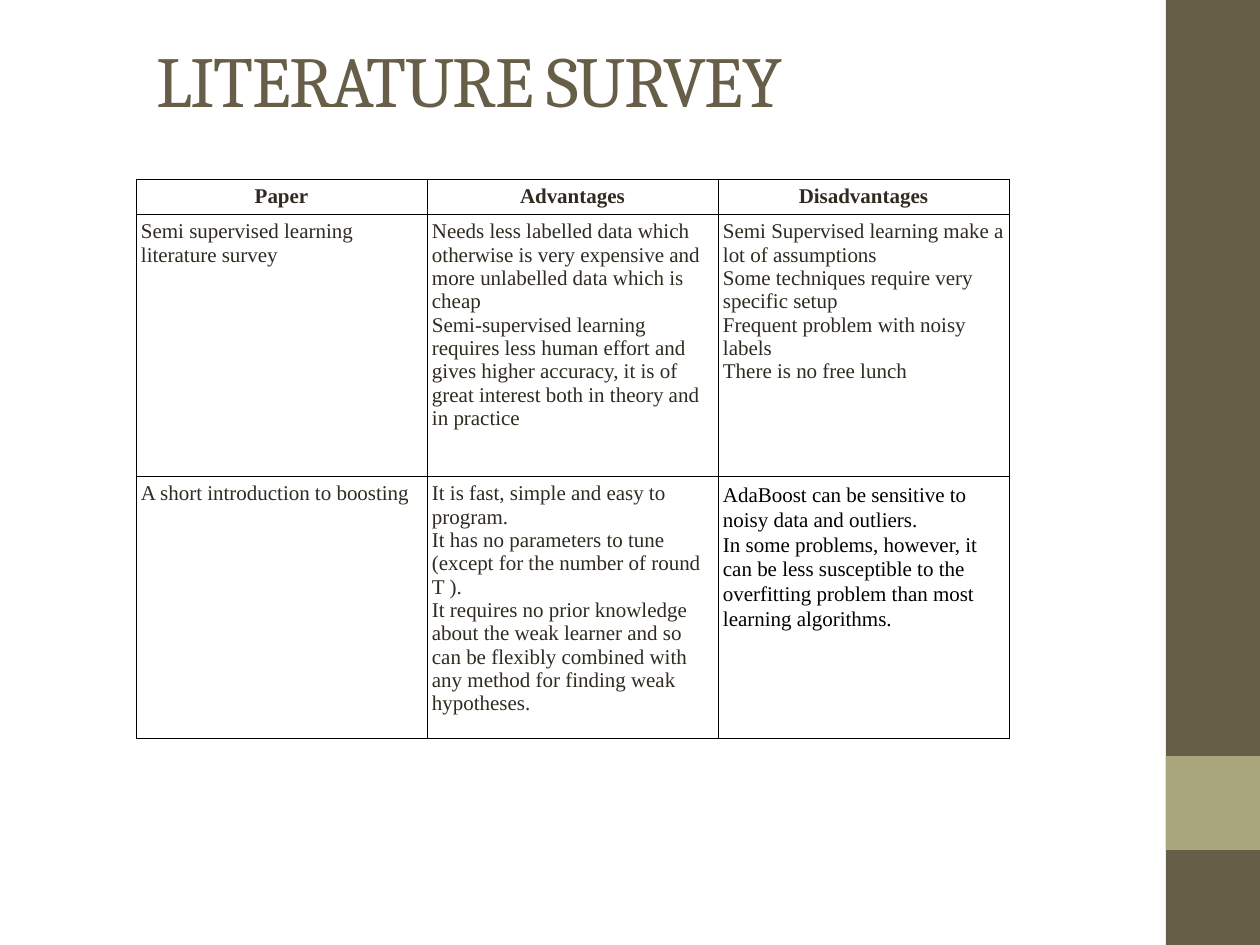
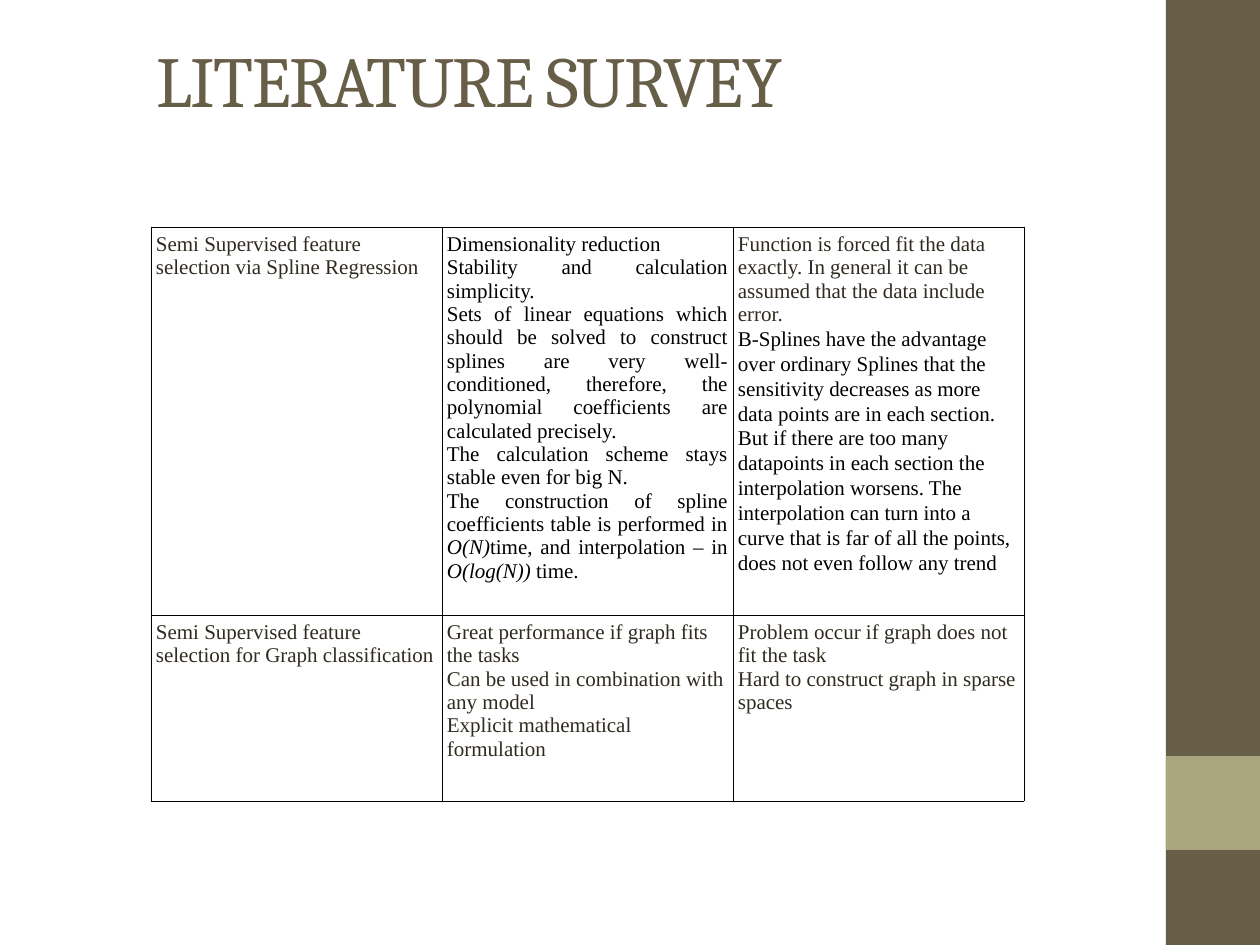
from pptx import Presentation
from pptx.dml.color import RGBColor
from pptx.enum.shapes import MSO_SHAPE
from pptx.enum.text import MSO_ANCHOR, MSO_AUTO_SIZE, PP_ALIGN
from pptx.oxml import parse_xml
from pptx.oxml.ns import nsdecls
from pptx.util import Pt

PX = 914400 / 126  # EMU in one px
COLORS = {"band": "675E47", "accent": "A9A57C", "text": "2F2B20",
          "black": "000000", "page": "FFFFFF"}

# Paragraph formats of the table cells
HEAD = {"bold": True, "align": PP_ALIGN.CENTER}
PLAIN = {}
FLUSH = {"color": "black", "align": PP_ALIGN.JUSTIFY}
LOOSE = {"color": "black", "leading": 14.2}


def emu(*sizes):
    return [round(size * PX) for size in sizes]


def write(par, text, font="Times New Roman", size=12, color="text", bold=False,
          align=PP_ALIGN.LEFT, leading=None, track=0):
    """Fill a paragraph; text between asterisks is italic."""
    par.alignment = align
    if leading:
        par.line_spacing = Pt(leading)
    for i, part in enumerate(text.split("*")):
        run = par.add_run()
        run.text = part
        style = run.font
        style.name, style.size, style.bold = font, Pt(size), bold
        style.italic = i % 2 == 1
        style.color.rgb = RGBColor.from_string(COLORS[color])
        if track:
            run._r.get_or_add_rPr().set("spc", str(track))


class Deck:
    def __init__(self):
        self.prs = Presentation()
        self.prs.slide_width, self.prs.slide_height = emu(1260, 945)
        self.slide = None

    def page(self, title):
        self.slide = self.prs.slides.add_slide(self.prs.slide_layouts[5])
        fill = self.slide.background.fill
        fill.solid()
        fill.fore_color.rgb = RGBColor.from_string(COLORS["page"])
        self.band(0, 945, "band")
        self.band(756, 94, "accent")
        self.title(title)

    def band(self, top, height, color):
        box = self.slide.shapes.add_shape(
            MSO_SHAPE.RECTANGLE, *emu(1166, top, 94, height))
        box.shadow.inherit = False
        box.fill.solid()
        box.fill.fore_color.rgb = RGBColor.from_string(COLORS[color])
        box.line.fill.background()

    def title(self, text):
        box = self.slide.shapes.title
        box.left, box.top, box.width, box.height = emu(144, 31, 968, 95)
        frame = box.text_frame
        frame.word_wrap = True
        frame.auto_size = MSO_AUTO_SIZE.NONE
        frame.vertical_anchor = MSO_ANCHOR.MIDDLE
        write(frame.paragraphs[0], text, font="Cambria", size=41,
              color="band", track=-100)

    def table(self, left, top, heights, rows, col=291):
        count = len(rows[0])
        frame = self.slide.shapes.add_table(
            len(rows), count, *emu(left, top, col * count, sum(heights)))
        grid = frame.table
        grid.first_row = grid.horz_banding = False
        for column in grid.columns:
            column.width = emu(col)[0]
        for r, (height, row) in enumerate(zip(heights, rows)):
            grid.rows[r].height = emu(height)[0]
            for c, parts in enumerate(row):
                self.cell(grid.cell(r, c), parts)

    def cell(self, cell, parts):
        cell.margin_left, cell.margin_right = emu(5, 5)
        cell.margin_top, cell.margin_bottom = emu(6, 6)
        frame = cell.text_frame
        for i, (form, text) in enumerate(parts):
            par = frame.add_paragraph() if i else frame.paragraphs[0]
            write(par, text, **form)
        # Borders come before the fill in the cell properties
        props = cell._tc.get_or_add_tcPr()
        for side in ("lnL", "lnR", "lnT", "lnB"):
            props.append(parse_xml(
                f'<a:{side} {nsdecls("a")} w="{Pt(0.45)}"><a:solidFill>'
                f'<a:srgbClr val="{COLORS["black"]}"/></a:solidFill></a:{side}>'))
        cell.fill.background()


def block(form, *texts):
    """Give several paragraphs one format."""
    return [(form, text) for text in texts]


# Table contents
FIRST = [
    [block(HEAD, name) for name in ("Paper", "Advantages", "Disadvantages")],
    [
        block(PLAIN, "Semi supervised learning literature survey"),
        block(PLAIN,
              "Needs less labelled data which otherwise is very expensive and "
              "more unlabelled data which is cheap",
              "Semi-supervised learning requires less human effort and gives "
              "higher accuracy, it is of great interest both in theory and in "
              "practice"),
        block(PLAIN,
              "Semi Supervised learning make a lot of assumptions",
              "Some techniques require very specific setup",
              "Frequent problem with noisy labels",
              "There is no free lunch"),
    ],
    [
        block(PLAIN, "A short introduction to boosting"),
        block(PLAIN,
              "It is fast, simple and easy to program.",
              "It has no parameters to tune (except for the number of round T ).",
              "It requires no prior knowledge about the weak learner and so can "
              "be flexibly combined with any method for finding weak hypotheses."),
        block(LOOSE,
              "AdaBoost can be sensitive to noisy data and outliers.",
              "In some problems, however, it can be less susceptible to the "
              "overfitting problem than most learning algorithms."),
    ],
]
SECOND = [
    [
        block(PLAIN, "Semi Supervised feature selection via Spline Regression"),
        block(FLUSH,
              "Dimensionality reduction",
              "Stability and calculation simplicity.",
              "Sets of linear equations which should be solved to construct "
              "splines are very well-conditioned, therefore, the polynomial "
              "coefficients are calculated precisely.",
              "The calculation scheme stays stable even for big N.",
              "The construction of spline coefficients table is performed in "
              "*O(N)*time, and interpolation – in *O(log(N)) *time."),
        block(PLAIN,
              "Function is forced fit the data exactly. In general it can be "
              "assumed that the data include error.")
        + block(LOOSE,
                "B-Splines have the advantage over ordinary Splines that the "
                "sensitivity decreases as more data points are in each section. "
                "But if there are too many datapoints in each section the "
                "interpolation worsens. The interpolation can turn into a curve "
                "that is far of all the points, does not even follow any trend"),
    ],
    [
        block(PLAIN, "Semi Supervised feature selection for Graph classification"),
        block(PLAIN,
              "Great performance if graph fits the tasks",
              "Can be used in combination with any model",
              "Explicit mathematical formulation"),
        block(PLAIN,
              "Problem occur if graph does not fit the task",
              "Hard to construct graph in sparse spaces"),
    ],
]


def main():
    deck = Deck()
    # Left, top, row heights and rows of each slide's table
    for spec in ((136, 179, (35, 262, 262), FIRST),
                 (151, 227, (388, 186), SECOND)):
        deck.page("LITERATURE SURVEY")
        deck.table(*spec)
    deck.prs.save("out.pptx")


if __name__ == "__main__":
    main()
